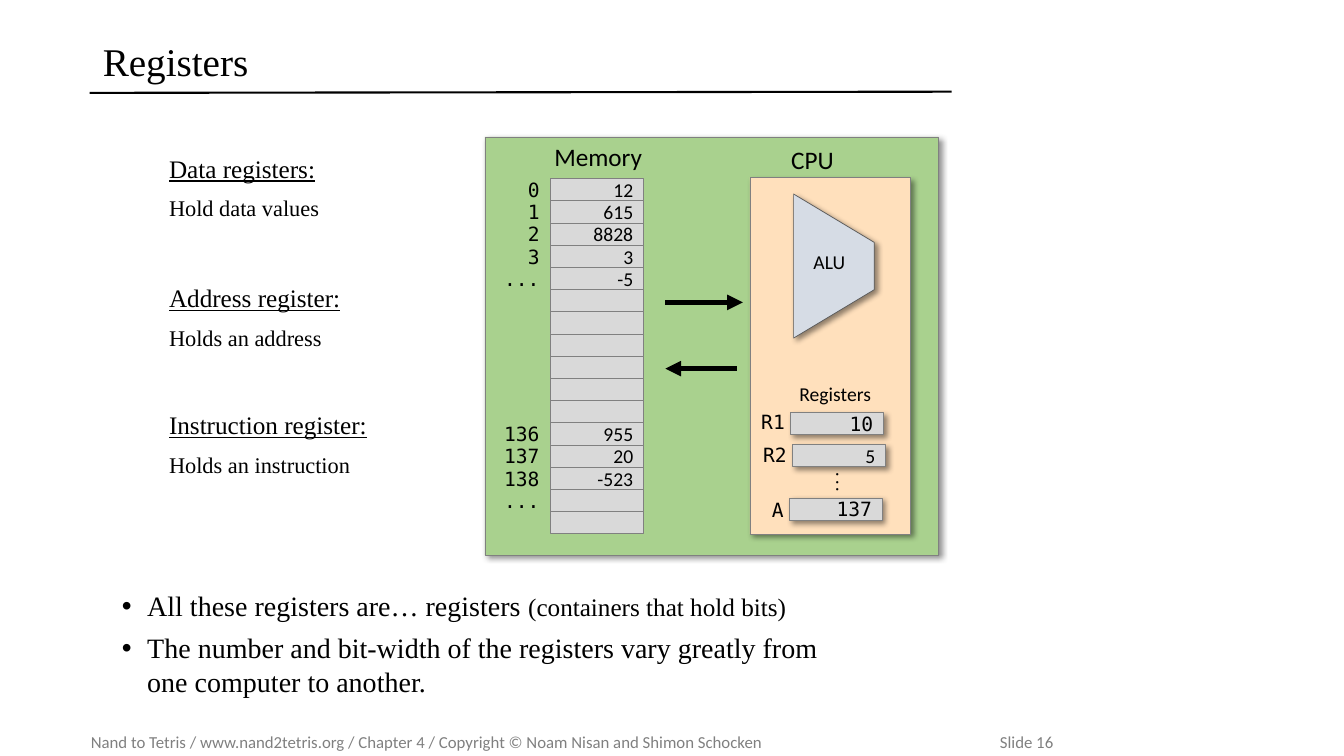
from collections import namedtuple

from lxml.etree import SubElement
from pptx import Presentation
from pptx.dml.color import RGBColor
from pptx.enum.shapes import MSO_CONNECTOR as Line, MSO_SHAPE as Preset
from pptx.enum.text import MSO_ANCHOR as Anchor, MSO_AUTO_SIZE as AutoSize, PP_ALIGN as Align
from pptx.oxml.ns import qn
from pptx.util import Cm, Pt

BLACK = RGBColor(0x00, 0x00, 0x00)
GREY = RGBColor(0x80, 0x80, 0x80)
ALU_EDGE = RGBColor(0x59, 0x59, 0x59)
BOARD_GREEN = RGBColor(0xA9, 0xD1, 0x8E)
CPU_PEACH = RGBColor(0xFF, 0xE0, 0xBC)
ALU_BLUE = RGBColor(0xD6, 0xDC, 0xE5)
CELL_GREY = RGBColor(0xD9, 0xD9, 0xD9)

SERIF, SANS, MONO, DOT_FONT = "Times New Roman", "Calibri", "DejaVu Sans Mono", "Arial"
CELL_WIDTH, CELL_HEIGHT = 2.34, 0.56
Box = namedtuple("Box", "left top width height")

MEMORY_ROWS = {
    0: ("0", "12"), 1: ("1", "615"), 2: ("2", "8828"), 3: ("3", "3"), 4: ("...", "-5"),
    11: ("136", "955"), 12: ("137", "20"), 13: ("138", "-523"), 14: ("...", ""),
}
MEMORY_SIZE = 16
CPU_REGISTERS = [
    ("R1", "10", MONO, 1.02, 5.92, 5.84),
    ("R2", "5", SANS, 1.07, 6.73, 6.68),
    ("A", "137", MONO, 0.99, 8.08, 8.08),
]
REGISTER_KINDS = [
    ("Data registers:", "Hold data values", 3.73),
    ("Address register:", "Holds an address", 6.99),
    ("Instruction register:", "Holds an instruction", 10.19),
]


def inside(box, left, top, width, height):
    """Return a box given by its offset within another box."""
    return Box(box.left + left, box.top + top, width, height)


def add_run(paragraph, text, font, size, color=BLACK, underline=None):
    """Append one formatted run to a paragraph."""
    run = paragraph.add_run()
    run.text = text
    values = {"name": font, "size": Pt(size), "underline": underline}
    for key, value in values.items():
        setattr(run.font, key, value)
    run.font.color.rgb = color


def set_frame(frame, anchor=Anchor.TOP, side=0.25, edge=0.13):
    """Set wrapping, anchor and insets of a text frame."""
    values = {
        "word_wrap": True, "auto_size": AutoSize.NONE, "vertical_anchor": anchor,
        "margin_left": Cm(side), "margin_right": Cm(side),
        "margin_top": Cm(edge), "margin_bottom": Cm(edge),
    }
    for key, value in values.items():
        setattr(frame, key, value)


def add_label(slide, box, text, font, size, align=Align.LEFT, anchor=Anchor.TOP,
              side=0.25, edge=0.13, color=BLACK):
    """Add a one-line text box and return its paragraph."""
    frame = slide.shapes.add_textbox(*map(Cm, box)).text_frame
    set_frame(frame, anchor, side, edge)
    paragraph = frame.paragraphs[0]
    paragraph.alignment = align
    add_run(paragraph, text, font, size, color)
    return paragraph


def add_block(slide, box, fill, edge=GREY, preset=Preset.RECTANGLE, shadow=True):
    """Add a filled, outlined shape, with or without a soft shadow."""
    block = slide.shapes.add_shape(preset, *map(Cm, box))
    block.shadow.inherit = False
    block.fill.solid()
    block.fill.fore_color.rgb = fill
    block.line.color.rgb = edge
    block.line.width = Pt(0.5)
    if shadow:
        effects = block.element.spPr.find(qn("a:effectLst"))
        outer = SubElement(effects, qn("a:outerShdw"), blurRad=str(Pt(4)), dist=str(Pt(3)),
                           dir="2700000", algn="tl", rotWithShape="0")
        tint = SubElement(outer, qn("a:srgbClr"), val=str(BLACK))
        SubElement(tint, qn("a:alpha"), val="43000")
    return block


def add_cell(slide, box, value, font, shadow):
    """Add one storage cell with its value at the right."""
    cell = add_block(slide, box, CELL_GREY, shadow=shadow)
    if value:
        set_frame(cell.text_frame, Anchor.MIDDLE, edge=0)
        paragraph = cell.text_frame.paragraphs[0]
        paragraph.alignment = Align.RIGHT
        add_run(paragraph, value, font, 14)


def add_line(slide, start, end, width, arrow=False):
    """Draw a black line, optionally with an arrowhead at its end."""
    line = slide.shapes.add_connector(Line.STRAIGHT, *map(Cm, start + end))
    line.line.color.rgb = BLACK
    line.line.width = Pt(width)
    if arrow:
        SubElement(line.line._get_or_add_ln(), qn("a:tailEnd"), type="triangle")
    SubElement(line.element.spPr, qn("a:effectLst"))


def add_header(slide, box):
    """Place the title and the rule beneath it."""
    title = slide.shapes.title
    title.left, title.top, title.width, title.height = map(Cm, box)
    set_frame(title.text_frame, Anchor.MIDDLE)
    paragraph = title.text_frame.paragraphs[0]
    paragraph.alignment = Align.LEFT
    paragraph.line_spacing = 0.9
    add_run(paragraph, "Registers", SERIF, 28)
    add_line(slide, (box.left - 0.08, box.top + 1.53), (box.left + 21.64, box.top + 1.5), 1.5)


def add_register_kind(slide, box, heading, purpose):
    """Add an underlined register kind with its purpose below."""
    frame = slide.shapes.add_textbox(*map(Cm, box)).text_frame
    set_frame(frame)
    add_run(frame.paragraphs[0], heading, SERIF, 18, underline=True)
    explanation = frame.add_paragraph()
    explanation.space_before = Pt(8)
    add_run(explanation, purpose, SERIF, 16)


def add_memory(slide, box):
    """Stack the memory cells with their addresses at the left."""
    add_label(slide, inside(box, -0.15, -1.07, 3.15, 1.02), "Memory", SANS, 18)
    for row in range(MEMORY_SIZE):
        address, value = MEMORY_ROWS.get(row, ("", ""))
        top = row * box.height / MEMORY_SIZE
        add_cell(slide, inside(box, 0, top, CELL_WIDTH, CELL_HEIGHT), value, SANS, False)
        if address:
            add_label(slide, inside(box, -2.36, top, CELL_WIDTH, CELL_HEIGHT), address,
                      MONO, 14, Align.RIGHT, Anchor.MIDDLE, edge=0)


def add_cpu(slide, box):
    """Draw the processor with its ALU and register cells."""
    add_label(slide, inside(box, 0.79, -0.97, 1.9, 1.02), "CPU", SANS, 18)
    add_block(slide, box, CPU_PEACH)
    alu = add_block(slide, inside(box, 0.3, 1.22, 3.63, 2.03), ALU_BLUE, ALU_EDGE,
                    Preset.TRAPEZOID)
    alu.rotation = 90
    alu.adjustments[0] = 0.6
    add_label(slide, inside(box, 1.35, 1.7, 1.9, 0.86), "ALU", SANS, 14)
    add_label(slide, inside(box, 0.79, 5.03, 2.72, 0.86), "Registers", SANS, 14, Align.CENTER)
    for name, value, font, left, top, name_top in CPU_REGISTERS:
        add_cell(slide, inside(box, left, top, CELL_WIDTH, CELL_HEIGHT), value, font, True)
        add_label(slide, inside(box, left - 1.23, name_top, 1.19, 0.61), name, MONO, 14,
                  Align.RIGHT, Anchor.MIDDLE, side=0.1, edge=0)
    for step in range(3):
        add_label(slide, inside(box, 1.96, 7.34 + 0.18 * step, 0.48, 0.3), "•", DOT_FONT, 6,
                  Align.CENTER, Anchor.MIDDLE, side=0.1, edge=0)


def add_computer(slide, box):
    """Draw the board with memory, processor and the arrows between them."""
    add_block(slide, box, BOARD_GREEN)
    add_cpu(slide, inside(box, 6.68, 1.02, 4.04, 8.99))
    add_memory(slide, inside(box, 1.65, 1.05, CELL_WIDTH, 8.95))
    for start, end, height in [(4.55, 6.5, 4.17), (6.35, 4.55, 5.84)]:
        add_line(slide, (box.left + start, box.top + height),
                 (box.left + end, box.top + height), 3.75, arrow=True)


def add_remarks(slide, box):
    """Fill the body placeholder with the two bulleted remarks."""
    body = slide.placeholders[1]
    body.left, body.top, body.width, body.height = map(Cm, box)
    frame = body.text_frame
    set_frame(frame)
    sameness, variety = frame.paragraphs[0], frame.add_paragraph()
    for paragraph, gap in [(sameness, 0), (variety, 6)]:
        paragraph.space_before = Pt(gap)
        properties = paragraph._p.get_or_add_pPr()
        properties.set("marL", str(Cm(0.64)))
        properties.set("indent", str(Cm(-0.64)))
        SubElement(properties, qn("a:buFont"), typeface=DOT_FONT)
        SubElement(properties, qn("a:buChar"), char="•")
    add_run(sameness, "All these registers are… registers ", SERIF, 20)
    add_run(sameness, "(containers that hold bits)", SERIF, 18)
    add_run(variety, "The number and bit-width of the registers vary greatly from ", SERIF, 20)
    variety.add_line_break()
    add_run(variety, "one computer to another.", SERIF, 20)


def add_footer(slide, box):
    """Write the copyright line and, at a tab stop, the slide number."""
    credit = ("Nand to Tetris / www.nand2tetris.org / Chapter 4 / "
              "Copyright © Noam Nisan and Shimon Schocken\tSlide 16")
    paragraph = add_label(slide, box, credit, SANS, 12, anchor=Anchor.MIDDLE, side=0, color=GREY)
    tabs = SubElement(paragraph._p.get_or_add_pPr(), qn("a:tabLst"))
    SubElement(tabs, qn("a:tab"), pos=str(Cm(22.91)), algn="l")


def main():
    """Build the slide and save it."""
    deck = Presentation()
    deck.slide_width, deck.slide_height = Cm(33.87), Cm(19.05)
    slide = deck.slides.add_slide(deck.slide_layouts[1])
    add_header(slide, Box(2.34, 0.81, 21.67, 1.6))
    for heading, purpose, top in REGISTER_KINDS:
        add_register_kind(slide, Box(4.01, top, 6.86, 2.62), heading, purpose)
    add_remarks(slide, Box(2.82, 14.71, 21.18, 2.03))
    add_computer(slide, Box(12.22, 3.45, 11.43, 10.54))
    add_footer(slide, Box(2.29, 18.31, 31.12, 0.76))
    deck.save("out.pptx")


if __name__ == "__main__":
    main()
